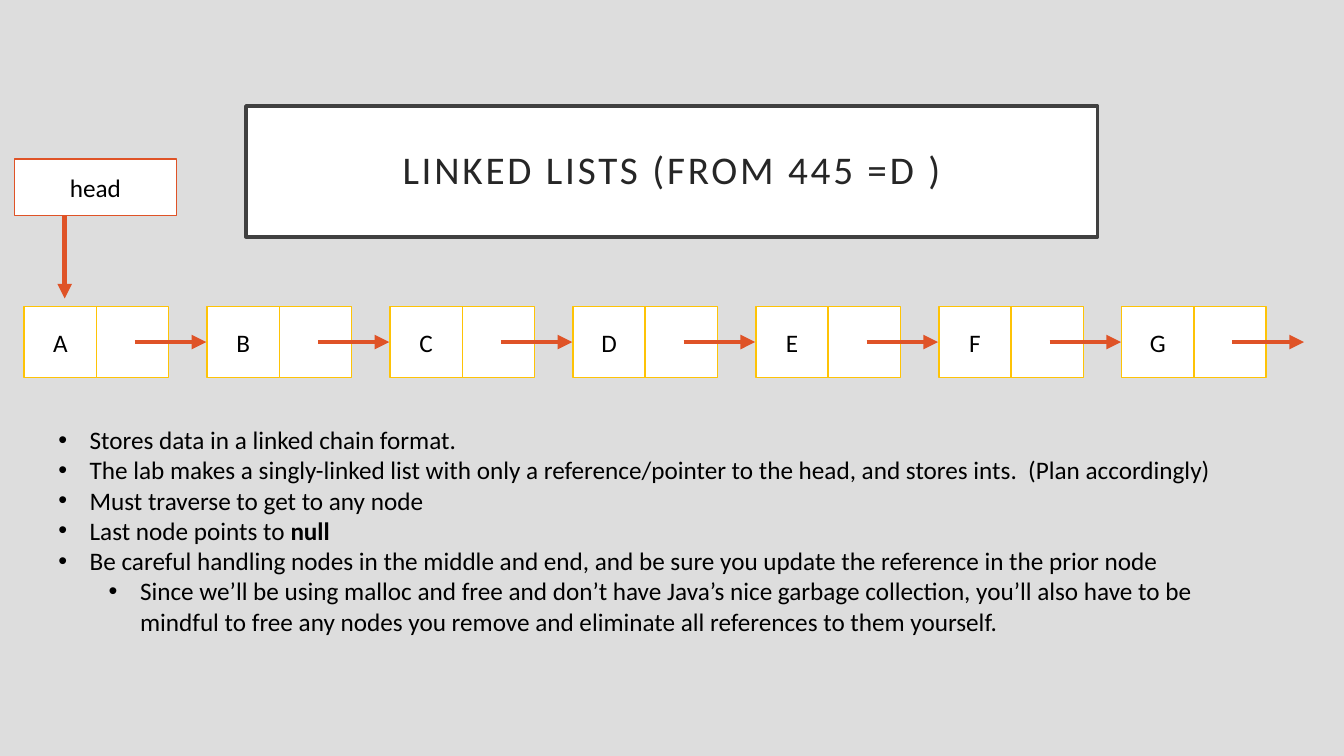
from lxml import etree
from pptx import Presentation
from pptx.dml.color import RGBColor
from pptx.enum.shapes import MSO_CONNECTOR, MSO_SHAPE
from pptx.enum.text import MSO_ANCHOR, MSO_AUTO_SIZE, PP_ALIGN
from pptx.oxml.ns import qn
from pptx.util import Cm, Pt

RECTANGLE = MSO_SHAPE.RECTANGLE
STRAIGHT = MSO_CONNECTOR.STRAIGHT
MIDDLE = MSO_ANCHOR.MIDDLE
NO_AUTOFIT = MSO_AUTO_SIZE.NONE
CENTER, LEFT = PP_ALIGN.CENTER, PP_ALIGN.LEFT

GREY = RGBColor(0xDD, 0xDD, 0xDD)
WHITE = RGBColor(0xFF, 0xFF, 0xFF)
BLACK = RGBColor(0, 0, 0)
CHARCOAL = RGBColor(0x26, 0x26, 0x26)
FRAME = RGBColor(0x40, 0x40, 0x40)
YELLOW = RGBColor(0xFE, 0xC3, 0x06)
ORANGE = RGBColor(0xDF, 0x53, 0x27)

FONT = "Calibri"
NODES = "ABCDEFG"
FIRST_NODE, NODE_PITCH, NODE_TOP = 0.61, 4.61, 7.72
CELL_WIDTH, CELL_HEIGHT = 1.82, 1.8
LINK_OFFSET, LINK_LENGTH = 2.79, 1.8

# Each point: indent level, then its runs as (text, bold)
POINTS = [
    (0, [("Stores data in a linked chain format.", False)]),
    (0, [("The lab makes a singly-linked list with only a reference/pointer "
          "to the head, and stores ints.  (Plan accordingly)", False)]),
    (0, [("Must traverse to get to any node", False)]),
    (0, [("Last node points to ", False), ("null", True)]),
    (0, [("Be careful handling nodes in the middle and end, and be sure you "
          "update the reference in the prior node", False)]),
    (1, [("Since we’ll be using malloc and free and don’t have Java’s nice "
          "garbage collection, you’ll also have to be mindful to free any "
          "nodes you remove and eliminate all references to them yourself.",
          False)]),
]


def add_run(paragraph, text, size=18, color=BLACK, bold=False):
    run = paragraph.add_run()
    run.text = text
    run.font.name = FONT
    run.font.size = Pt(size)
    run.font.bold = bold
    run.font.color.rgb = color
    return run


def style_box(box, line_color, line_width):
    box.fill.solid()
    box.fill.fore_color.rgb = WHITE
    box.line.color.rgb = line_color
    box.line.width = Pt(line_width)


def add_box(slide, left, top, width, height, line_color, label=""):
    box = slide.shapes.add_shape(RECTANGLE, Cm(left), Cm(top), Cm(width), Cm(height))
    box.shadow.inherit = False
    style_box(box, line_color, 1)
    if label:
        box.text_frame.vertical_anchor = MIDDLE
        paragraph = box.text_frame.paragraphs[0]
        paragraph.alignment = CENTER
        add_run(paragraph, label)


def add_arrow(slide, x1, y1, x2, y2):
    arrow = slide.shapes.add_connector(STRAIGHT, Cm(x1), Cm(y1), Cm(x2), Cm(y2))
    arrow.line.color.rgb = ORANGE
    arrow.line.width = Pt(3.5)
    etree.SubElement(arrow.line._get_or_add_ln(), qn("a:tailEnd"), type="triangle")
    etree.SubElement(arrow._element.spPr, qn("a:effectLst"))


def add_title(slide, text):
    title = slide.shapes.title
    title.left, title.top, title.width, title.height = Cm(6.2), Cm(2.67), Cm(21.46), Cm(3.3)
    style_box(title, FRAME, 2.5)
    frame = title.text_frame
    frame.auto_size = NO_AUTOFIT
    frame.word_wrap = True
    frame.vertical_anchor = MIDDLE
    frame.margin_left = frame.margin_right = Cm(0.5)
    frame.margin_top = frame.margin_bottom = Cm(0.5)
    paragraph = frame.paragraphs[0]
    paragraph.alignment = CENTER
    paragraph.line_spacing = 0.9
    run = add_run(paragraph, text, 28, CHARCOAL)
    run.font._element.set("spc", "200")


def add_points(slide, points):
    box = slide.shapes.add_textbox(Cm(1.22), Cm(10.57), Cm(30.48), Cm(6.4))
    frame = box.text_frame
    frame.word_wrap = True
    for index, (level, runs) in enumerate(points):
        paragraph = frame.add_paragraph() if index else frame.paragraphs[0]
        paragraph.level = level
        paragraph.alignment = LEFT
        properties = paragraph._p.get_or_add_pPr()
        properties.set("marL", str(Cm(0.79 + 1.27 * level)))
        properties.set("indent", str(Cm(-0.79)))
        etree.SubElement(properties, qn("a:buFont"), typeface="Arial")
        etree.SubElement(properties, qn("a:buChar"), char="•")
        for text, bold in runs:
            add_run(paragraph, text, bold=bold)


def add_chain(slide):
    lefts = [FIRST_NODE + NODE_PITCH * i for i in range(len(NODES))]
    # Each node has a data cell and a pointer cell
    for left, letter in zip(lefts, NODES):
        add_box(slide, left, NODE_TOP, CELL_WIDTH, CELL_HEIGHT, YELLOW, letter)
        add_box(slide, left + CELL_WIDTH, NODE_TOP, CELL_WIDTH, CELL_HEIGHT, YELLOW)
    # Links lie over the nodes
    middle = NODE_TOP + CELL_HEIGHT / 2
    for left in lefts:
        start = left + LINK_OFFSET
        add_arrow(slide, start, middle, start + LINK_LENGTH, middle)


def main():
    deck = Presentation()
    deck.slide_width, deck.slide_height = Cm(33.87), Cm(19.05)
    slide = deck.slides.add_slide(deck.slide_layouts[5])
    slide.background.fill.solid()
    slide.background.fill.fore_color.rgb = GREY

    add_title(slide, "LINKED LISTS (FROM 445 =D )")
    add_chain(slide)
    add_points(slide, POINTS)

    # Head pointer
    add_arrow(slide, 1.63, 5.44, 1.63, 7.52)
    add_box(slide, 0.36, 4.01, 4.09, 1.42, ORANGE, "head")

    deck.save("out.pptx")


if __name__ == "__main__":
    main()
